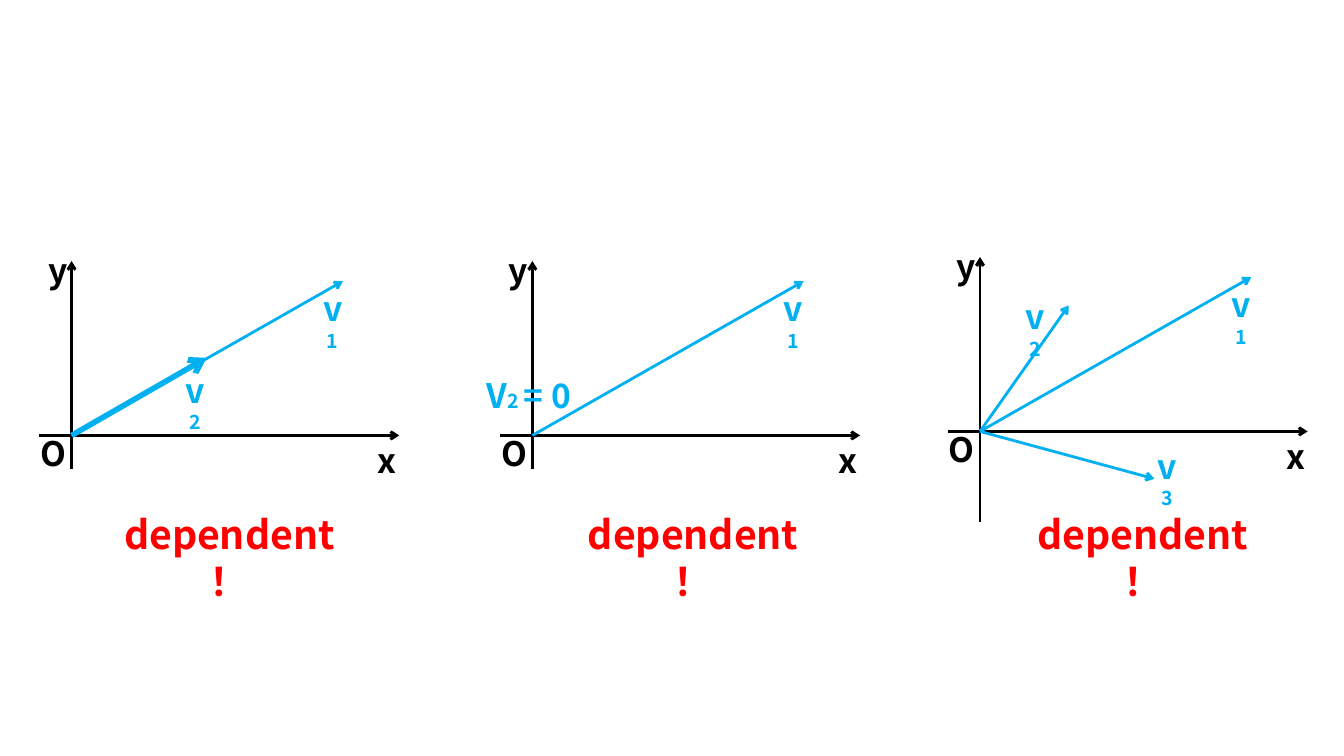
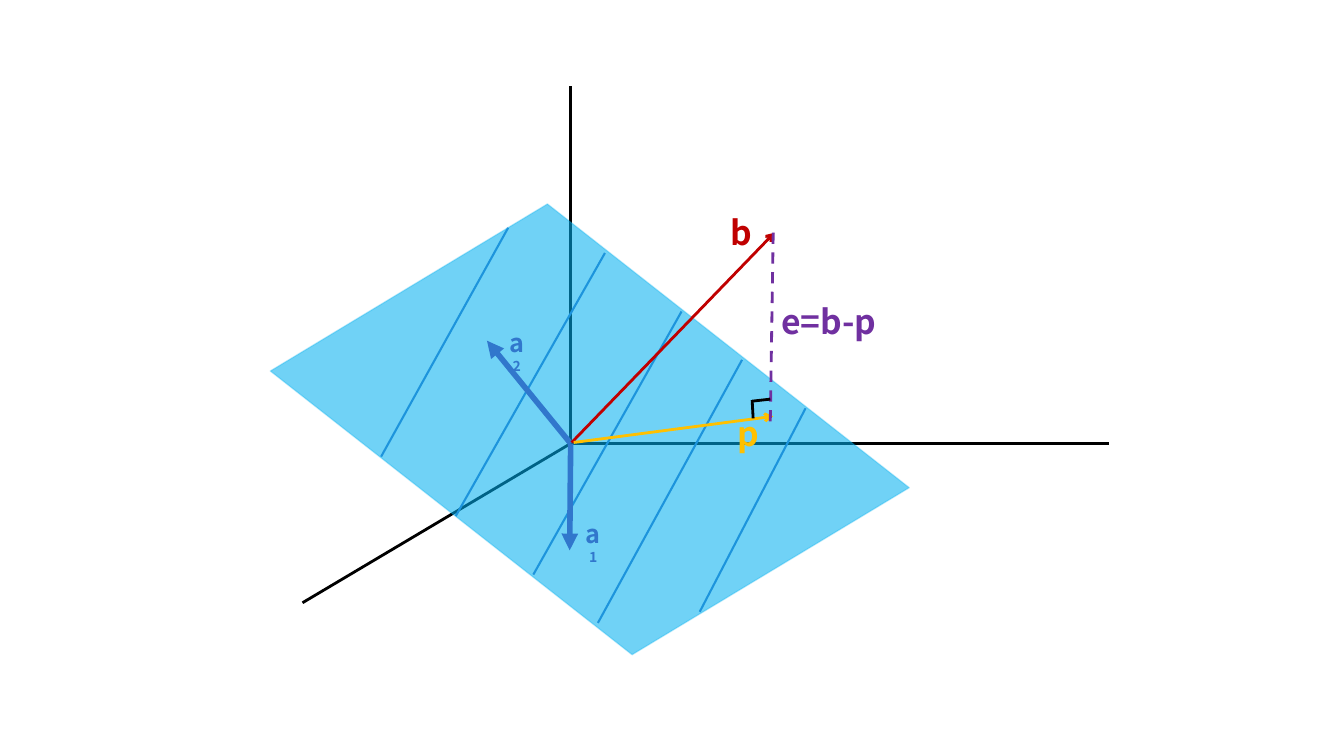
from pptx import Presentation
from pptx.dml.color import RGBColor as RGB
from pptx.enum.dml import MSO_LINE as Dash
from pptx.enum.shapes import MSO_CONNECTOR as Conn, MSO_SHAPE as Shape
from pptx.enum.text import MSO_AUTO_SIZE as Auto, PP_ALIGN as Align
from pptx.oxml.ns import qn
from pptx.util import Inches, Pt
from lxml.etree import SubElement as Sub

FONT = "Noto Sans CJK SC"
HUES = {
    "black": "000000", "sky": "00B0F0", "red": "FF0000", "blue": "4472C4",
    "wine": "C00000", "gold": "FFC000", "plum": "7030A0",
}


def line(shapes, start, end, hue, width=2, tip=None, dash=None):
    """Draw a straight line, with an optional arrowhead at its end."""
    wire = shapes.add_connector(
        Conn.STRAIGHT, *[Inches(v) for v in (*start, *end)])
    wire.line.color.rgb = RGB.from_string(HUES[hue])
    wire.line.width = Pt(width)
    if dash:
        wire.line.dash_style = dash
    if tip:
        Sub(wire.line._get_or_add_ln(), qn("a:tailEnd"), type=tip)
    Sub(wire._element.spPr, qn("a:effectLst"))


def label(shapes, left, top, width, height, hue, *runs):
    """Write one centred bold line; each run is a (text, size) pair."""
    box = shapes.add_textbox(*[Inches(v) for v in (left, top, width, height)])
    frame = box.text_frame
    frame.word_wrap = True
    frame.auto_size = Auto.SHAPE_TO_FIT_TEXT
    para = frame.paragraphs[0]
    para.alignment = Align.CENTER
    for words, size in runs:
        run = para.add_run()
        run.text = words
        run.font.size = Pt(size)
        run.font.bold = True
        run.font.name = FONT
        run.font.color.rgb = RGB.from_string(HUES[hue])
        Sub(run._r.get_or_add_rPr(), qn("a:ea"), typeface=FONT)


deck = Presentation()
deck.slide_width = Inches(13.33)
deck.slide_height = Inches(7.5)
blank = deck.slide_layouts[6]

# Slide 1: three sets of dependent vectors
shapes = deck.slides.add_slide(blank).shapes

# Each vector: index, tip, label corner (both from the origin), line width
first = ("1", (2.69, -1.53), (2.35, -1.51), 2)
plots = [
    # origin, depth of the y axis, left of the verdict, vectors
    (0.71, 4.32, 0.33, 1.01, [first, ("2", (1.34, -0.77), (0.99, -0.7), 4)]),
    (5.28, 4.32, 0.33, 5.61, [first]),
    (9.72, 4.28, 0.9, 10.07, [first,
                              ("2", (0.88, -1.25), (0.31, -1.39), 2),
                              ("3", (1.73, 0.47), (1.62, 0.09), 2)]),
]
for x, y, depth, left, vectors in plots:
    # Axes
    line(shapes, (x - 0.32, y), (x + 3.25, y), "black", tip="arrow")
    line(shapes, (x, y + depth), (x, y - 1.73), "black", tip="arrow")
    for name, dx, dy, width in [("x", 2.94, 0, 0.37), ("y", -0.33, -1.89, 0.3),
                                ("O", -0.41, -0.07, 0.46)]:
        label(shapes, x + dx, y + dy, width, 0.5, "black", (name, 24))
    # Vectors
    for index, tip, spot, width in vectors:
        line(shapes, (x, y), (x + tip[0], y + tip[1]), "sky", width, "arrow")
        label(shapes, x + spot[0], y + spot[1], 0.48, 0.5, "sky",
              ("v", 24), (index, 14))
    # Verdict
    label(shapes, left, 5.01, 2.53, 0.57, "red", ("dependent！", 28))

# Zero vector of the middle plot
label(shapes, 4.7, 3.67, 1.09, 0.5, "sky", ("V", 24), ("2 ", 14), ("= 0", 24))

# Slide 2: projection onto a plane
shapes = deck.slides.add_slide(blank).shapes
root = (5.66, 4.4)

# Axes
for end in [(11, 4.4), (5.66, 0.85), (3, 5.98)]:
    line(shapes, root, end, "black")

# Hatching
for start, end in [((5.04, 2.26), (3.78, 4.53)), ((6, 2.51), (4.52, 5.12)),
                   ((6.76, 3.09), (5.29, 5.7)), ((7.36, 3.57), (5.93, 6.18)),
                   ((7.99, 4.05), (6.94, 6.07))]:
    line(shapes, start, end, "blue", 1.5)

# Basis vectors
for index, tip, spot in [("1", (5.65, 5.46), (5.68, 5.09)),
                         ("2", (4.83, 3.38), (4.92, 3.2))]:
    line(shapes, root, tip, "plum", 4, "triangle")
    label(shapes, *spot, 0.41, 0.4, "plum", ("a", 18), (index, 10))

# Translucent plane over the parts above
plane = shapes.add_shape(Shape.FLOWCHART_DATA, Inches(3), Inches(2.76),
                         Inches(5.7), Inches(3))
plane.rotation = 38.1
plane.shadow.inherit = False
plane.fill.solid()
plane.line.width = Pt(1)
for paint, alpha in [(plane.fill.fore_color, 56), (plane.line.color, 27)]:
    paint.rgb = RGB.from_string(HUES["sky"])
props = plane._element.spPr
for solid, alpha in [(props.find(qn("a:solidFill")), 56),
                     (props.find(qn("a:ln")).find(qn("a:solidFill")), 27)]:
    Sub(solid[0], qn("a:alpha"), val=str(alpha * 1000))

# Vector b, its projection p and the error e
line(shapes, (5.67, 4.39), (7.68, 2.31), "wine", tip="arrow")
line(shapes, (5.69, 4.39), (7.67, 4.13), "gold", tip="arrow")
line(shapes, (7.64, 4.18), (7.67, 2.25), "plum", dash=Dash.DASH)
for name, hue, left, top, width in [("b", "wine", 7.15, 2.05, 0.41),
                                    ("e=b-p", "plum", 7.63, 2.94, 1.18),
                                    ("p", "gold", 7.22, 4.05, 0.37)]:
    label(shapes, left, top, width, 0.5, hue, (name, 24))

# Right angle mark
mark = shapes.add_group_shape().shapes
line(mark, (7.47, 4.15), (7.46, 3.97), "black")
line(mark, (7.46, 3.98), (7.64, 3.96), "black")

deck.save("out.pptx")
